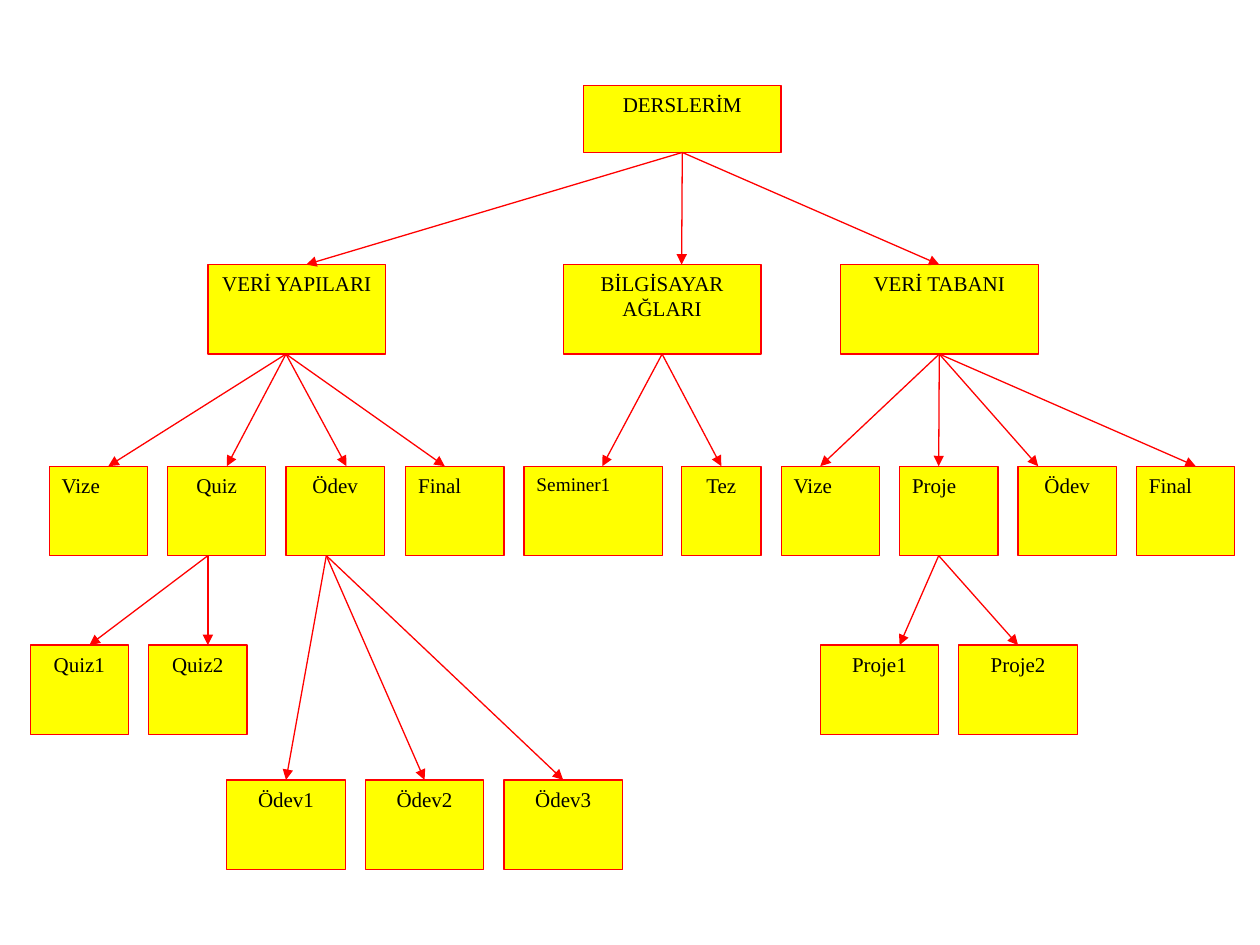
from lxml.etree import SubElement
from pptx import Presentation
from pptx.dml.color import RGBColor
from pptx.enum.shapes import MSO_CONNECTOR as CONNECTOR, MSO_SHAPE as SHAPE
from pptx.enum.text import MSO_ANCHOR as ANCHOR, PP_ALIGN as ALIGN
from pptx.oxml.ns import qn
from pptx.util import Inches, Pt

YELLOW = RGBColor(0xFF, 0xFF, 0x00)
RED = RGBColor(0xFF, 0x00, 0x00)
BLACK = RGBColor(0x00, 0x00, 0x00)
BOTTOM, TOP = 2, 0
LEFT_ALIGNED = {"Vize", "Final", "Proje", "Seminer1"}
FRAME_FORMAT = {
    "word_wrap": True, "vertical_anchor": ANCHOR.TOP,
    "margin_left": Inches(0.1), "margin_right": Inches(0.1),
    "margin_top": Inches(0.05), "margin_bottom": Inches(0.05),
}
FONT_FORMAT = {"name": "Times New Roman", "size": Pt(12)}

deck = Presentation()
deck.slide_width, deck.slide_height = Inches(10), Inches(7.5)
page = deck.slides.add_slide(deck.slide_layouts[6])


def add_box(label, left, top, width, height):
    box = page.shapes.add_shape(SHAPE.RECTANGLE, Inches(left), Inches(top),
                                Inches(width), Inches(height))
    box.shadow.inherit = False
    box.fill.solid()
    box.fill.fore_color.rgb = YELLOW
    box.line.color.rgb = RED
    box.line.width = Pt(0.75)
    for name, value in FRAME_FORMAT.items():
        setattr(box.text_frame, name, value)
    para = box.text_frame.paragraphs[0]
    para.alignment = ALIGN.LEFT if label in LEFT_ALIGNED else ALIGN.CENTER
    span = para.add_run()
    span.text = label
    for name, value in FONT_FORMAT.items():
        setattr(span.font, name, value)
    span.font.color.rgb = BLACK
    if label == "Seminer1":
        span.font.size = Pt(11)
    return box


def add_arrow(parent, start_x, child, end_x):
    start, end = Inches(start_x), Inches(end_x)
    arrow = page.shapes.add_connector(CONNECTOR.STRAIGHT, start,
                                      parent.top + parent.height, end, child.top)
    if abs(parent.left + parent.width // 2 - start) < Inches(0.02):
        arrow.begin_connect(parent, BOTTOM)
    if abs(child.left + child.width // 2 - end) < Inches(0.02):
        arrow.end_connect(child, TOP)
    arrow.line.color.rgb = RED
    arrow.line.width = Pt(0.75)
    SubElement(arrow.line._get_or_add_ln(), qn("a:tailEnd"), type="triangle")
    SubElement(arrow._element.spPr, qn("a:effectLst"))


# parent key, arrow start x, top of children, (label, left, width, arrow end x)
families = [
    (("", "DERSLERİM"), 5.41, 2.1, [
        ("VERİ YAPILARI", 1.65, 1.41, 2.43),
        ("BİLGİSAYAR AĞLARI", 4.47, 1.57, 5.41),
        ("VERİ TABANI", 6.67, 1.57, 7.45)]),
    (("DERSLERİM", "VERİ YAPILARI"), 2.27, 3.7, [
        ("Vize", 0.39, 0.78, 0.86),
        ("Quiz", 1.33, 0.78, 1.8),
        ("Ödev", 2.27, 0.78, 2.75),
        ("Final", 3.22, 0.78, 3.53)]),
    (("DERSLERİM", "BİLGİSAYAR AĞLARI"), 5.26, 3.7, [
        ("Seminer1", 4.16, 1.1, 4.78),
        ("Tez", 5.41, 0.63, 5.73)]),
    (("DERSLERİM", "VERİ TABANI"), 7.45, 3.7, [
        ("Vize", 6.2, 0.78, 6.51),
        ("Proje", 7.14, 0.78, 7.45),
        ("Ödev", 8.08, 0.78, 8.24),
        ("Final", 9.02, 0.78, 9.49)]),
    (("VERİ YAPILARI", "Quiz"), 1.65, 5.12, [
        ("Quiz1", 0.24, 0.78, 0.71),
        ("Quiz2", 1.18, 0.78, 1.65)]),
    (("VERİ YAPILARI", "Ödev"), 2.59, 6.19, [
        ("Ödev1", 1.8, 0.94, 2.27),
        ("Ödev2", 2.9, 0.94, 3.37),
        ("Ödev3", 4, 0.94, 4.47)]),
    (("VERİ TABANI", "Proje"), 7.45, 5.12, [
        ("Proje1", 6.51, 0.94, 7.14),
        ("Proje2", 7.61, 0.94, 8.08)]),
]

boxes = {("", "DERSLERİM"): add_box("DERSLERİM", 4.63, 0.68, 1.57, 0.53)}
for parent_key, start_x, top, children in families:
    for label, left, width, end_x in children:
        child = add_box(label, left, top, width, 0.71)
        boxes[parent_key[1], label] = child
        add_arrow(boxes[parent_key], start_x, child, end_x)

deck.save("out.pptx")
